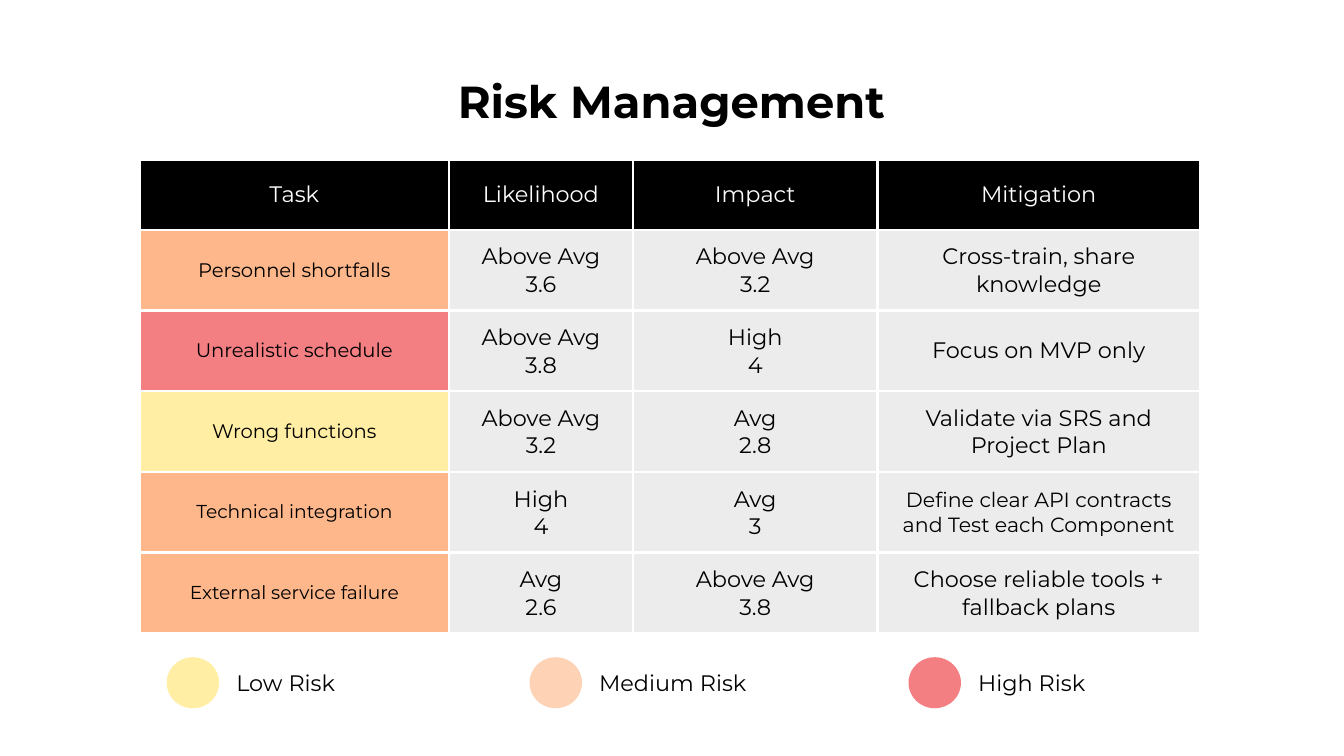
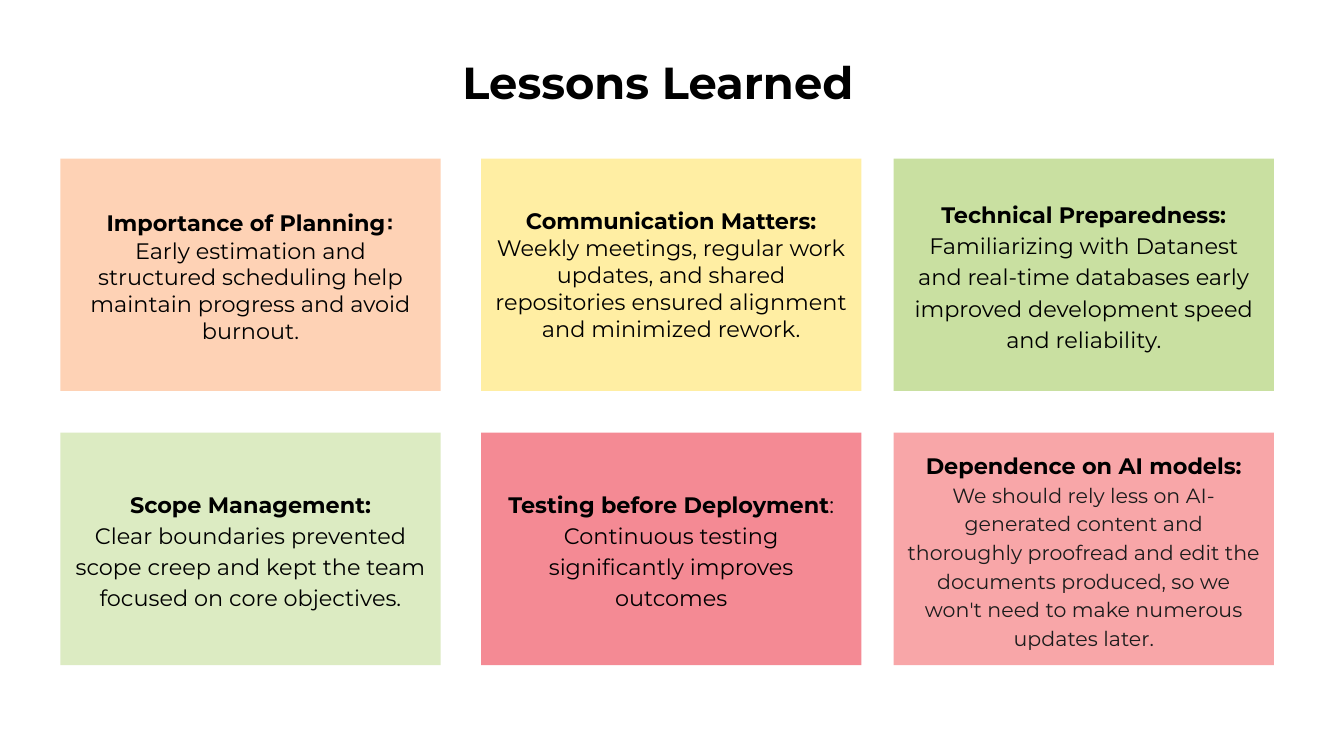
from lxml import etree
from pptx import Presentation
from pptx.dml.color import RGBColor
from pptx.enum.shapes import MSO_SHAPE
from pptx.enum.text import MSO_ANCHOR, PP_ALIGN
from pptx.oxml.ns import qn
from pptx.util import Inches, Pt

RECT, OVAL = MSO_SHAPE.RECTANGLE, MSO_SHAPE.OVAL
TOP, MIDDLE = MSO_ANCHOR.TOP, MSO_ANCHOR.MIDDLE
LEFT, CENTER = PP_ALIGN.LEFT, PP_ALIGN.CENTER

# Grid: 100 square units across the slide
WIDE = Inches(10)
HIGH = WIDE * 9 // 16
UNIT = WIDE // 100
PAD = 1

# Shared look
FONT = "Montserrat"
BLACK, WHITE, GRAY, INK = "000000", "FFFFFF", "ECECEC", "1C1C1C"
YELLOW, PEACH, ORANGE, RED = "FFEEA3", "FED2B5", "FDB78A", "F47F82"
LIME, MINT, ROSE, PINK = "C9E0A1", "DCEBC2", "F48A94", "F8A6A8"

HEADS = ["Task", "Likelihood", "Impact", "Mitigation"]
COLS = [23, 13.7, 18.2, 24]
ROW = 5.2
RISKS = [
    (ORANGE, "Personnel shortfalls", "Above Avg\n3.6", "Above Avg\n3.2",
     "Cross-train, share knowledge"),
    (RED, "Unrealistic schedule", "Above Avg\n3.8", "High\n4",
     "Focus on MVP only"),
    (YELLOW, "Wrong functions", "Above Avg\n3.2", "Avg\n2.8",
     "Validate via SRS and Project Plan"),
    (ORANGE, "Technical integration", "High\n4", "Avg\n3",
     "Define clear API contracts and Test each Component"),
    (ORANGE, "External service failure", "Avg\n2.6", "Above Avg\n3.8",
     "Choose reliable tools + fallback plans"),
]
LEVELS = [(12.4, YELLOW, "Low Risk"), (39.4, PEACH, "Medium Risk"),
          (67.6, RED, "High Risk")]

# Each card: fill, loose spacing, head, colon style, body, body style
BOLD, PLAIN = {"bold": True}, {"bold": False}
CARDS = [
    (PEACH, False, "Importance of Planning",
     {"bold": True, "size": 14, "name": "Manrope"},
     "Early estimation and structured scheduling help maintain progress "
     "and avoid burnout.", PLAIN),
    (YELLOW, False, "Communication Matters", BOLD,
     "Weekly meetings, regular work updates, and shared repositories "
     "ensured alignment and minimized rework.", PLAIN),
    (LIME, True, "Technical Preparedness", BOLD,
     "Familiarizing with Datanest and real-time databases early improved "
     "development speed and reliability.", PLAIN),
    (MINT, True, "Scope Management", BOLD,
     "Clear boundaries prevented scope creep and kept the team focused on "
     "core objectives.", PLAIN),
    (ROSE, True, "Testing before Deployment", PLAIN,
     "Continuous testing significantly improves outcomes", PLAIN),
    (PINK, True, "Dependence on AI models", BOLD,
     "We should rely less on AI-generated content and thoroughly proofread "
     "and edit the documents produced, so we won't need to make numerous "
     "updates later.", {"bold": False, "size": 11, "color": INK}),
]
CARD_X, CARD_Y = [4.5, 35.8, 66.5], [11.8, 32.2]
CARD_W, CARD_H = 28.3, 17.3


def span(num):
    return round(num * UNIT)


def rgb(code):
    return RGBColor.from_string(code)


def style(font, size=None, color=None, bold=None, name=None):
    if size:
        font.size = Pt(size)
    if color:
        font.color.rgb = rgb(color)
    if bold is not None:
        font.bold = bold
    if name:
        font.name = name


def inset(part):
    part.margin_left = part.margin_right = span(PAD)
    part.margin_top = part.margin_bottom = span(PAD)


def frame(shape, anchor):
    body = shape.text_frame
    body.word_wrap = True
    body.vertical_anchor = anchor
    inset(body)
    return body.paragraphs[0]


def write(para, text, size=12, color=BLACK, align=CENTER, bold=False):
    para.text = text
    para.alignment = align
    style(para.font, size, color, bold, FONT)


def label(slide, box, text, anchor=MIDDLE, **look):
    shape = slide.shapes.add_textbox(*map(span, box))
    write(frame(shape, anchor), text, **look)


def block(slide, kind, box, fill):
    shape = slide.shapes.add_shape(kind, *map(span, box))
    shape.shadow.inherit = False
    shape.fill.solid()
    shape.fill.fore_color.rgb = rgb(fill)
    shape.line.fill.background()
    return shape


def title(slide, x, y, text):
    label(slide, (x, y, 90.1, 6.1), text, TOP, size=24, bold=True)


def edge(cell, color, width):
    props = cell._tc.get_or_add_tcPr()
    for spot, side in enumerate(("a:lnL", "a:lnR", "a:lnT", "a:lnB")):
        line = etree.Element(qn(side), w=str(Pt(width)))
        fill = etree.SubElement(line, qn("a:solidFill"))
        etree.SubElement(fill, qn("a:srgbClr"), val=color)
        props.insert(spot, line)


def fill_cell(cell, text, fill, size=12, color=BLACK):
    cell.fill.solid()
    cell.fill.fore_color.rgb = rgb(fill)
    cell.vertical_anchor = MIDDLE
    inset(cell)
    write(cell.text_frame.paragraphs[0], text, size, color)
    edge(cell, WHITE, 1.5)


def risk_table(slide, x, y):
    count = len(RISKS) + 1
    box = (x, y, sum(COLS), ROW * count)
    grid = slide.shapes.add_table(count, len(COLS), *map(span, box)).table
    grid.first_row = grid.horz_banding = False
    for col, width in zip(grid.columns, COLS):
        col.width = span(width)
    for row in grid.rows:
        row.height = span(ROW)

    # Header, then one row per risk; long texts get a smaller size
    for col, head in enumerate(HEADS):
        fill_cell(grid.cell(0, col), head, BLACK, color=WHITE)
    for row, (tone, task, odds, impact, plan) in enumerate(RISKS, 1):
        fill_cell(grid.cell(row, 0), task, tone, 10 if len(task) > 20 else 10.5)
        fill_cell(grid.cell(row, 1), odds, GRAY)
        fill_cell(grid.cell(row, 2), impact, GRAY)
        fill_cell(grid.cell(row, 3), plan, GRAY, 11 if len(plan) > 40 else 12)


def legend(slide, y):
    for x, tone, text in LEVELS:
        block(slide, OVAL, (x, y + 0.2, 3.9, 3.8), tone)
        label(slide, (x + 4.2, y, 17, 4.1), text, align=LEFT)


def card(slide, box, fill, loose, head, colon, body, look):
    para = frame(block(slide, RECT, box, fill), MIDDLE)
    write(para, "")
    if loose:
        para.line_spacing = 1.16
        para.space_after = Pt(8)
    for text, face in ((head, BOLD), (":", colon), (body, look)):
        if text == body:
            para.add_line_break()
        run = para.add_run()
        run.text = text
        style(run.font, **face)


def risk_slide(slide):
    title(slide, 4.9, 4.5, "Risk Management")
    risk_table(slide, 10.4, 11.9)
    legend(slide, 48.7)


def lesson_slide(slide):
    title(slide, 3.9, 3.1, "Lessons Learned")
    for spot, data in enumerate(CARDS):
        row, col = divmod(spot, len(CARD_X))
        card(slide, (CARD_X[col], CARD_Y[row], CARD_W, CARD_H), *data)


def main():
    deck = Presentation()
    deck.slide_width, deck.slide_height = WIDE, HIGH
    blank = deck.slide_layouts[6]
    for build in (risk_slide, lesson_slide):
        build(deck.slides.add_slide(blank))
    deck.save("out.pptx")


if __name__ == "__main__":
    main()
